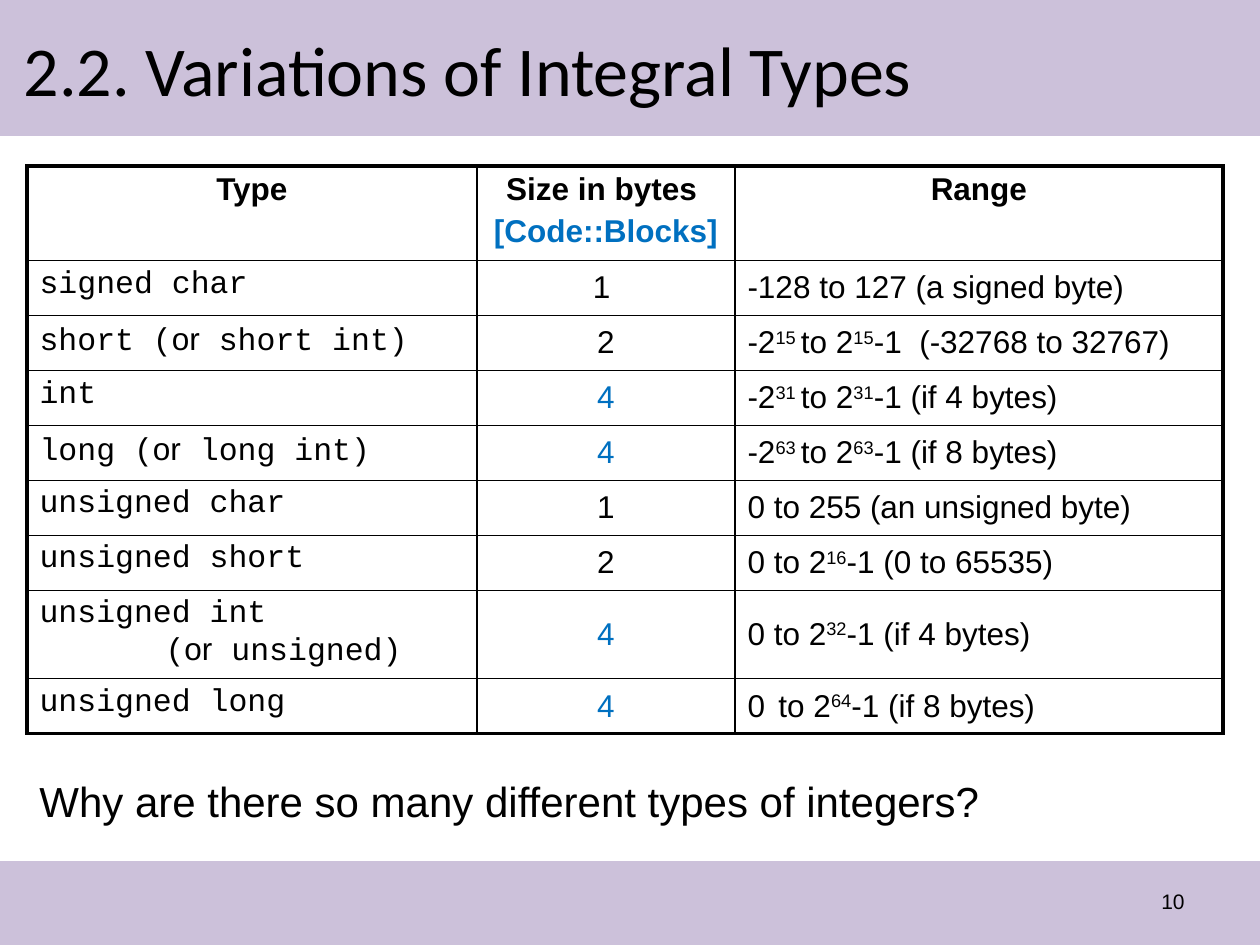
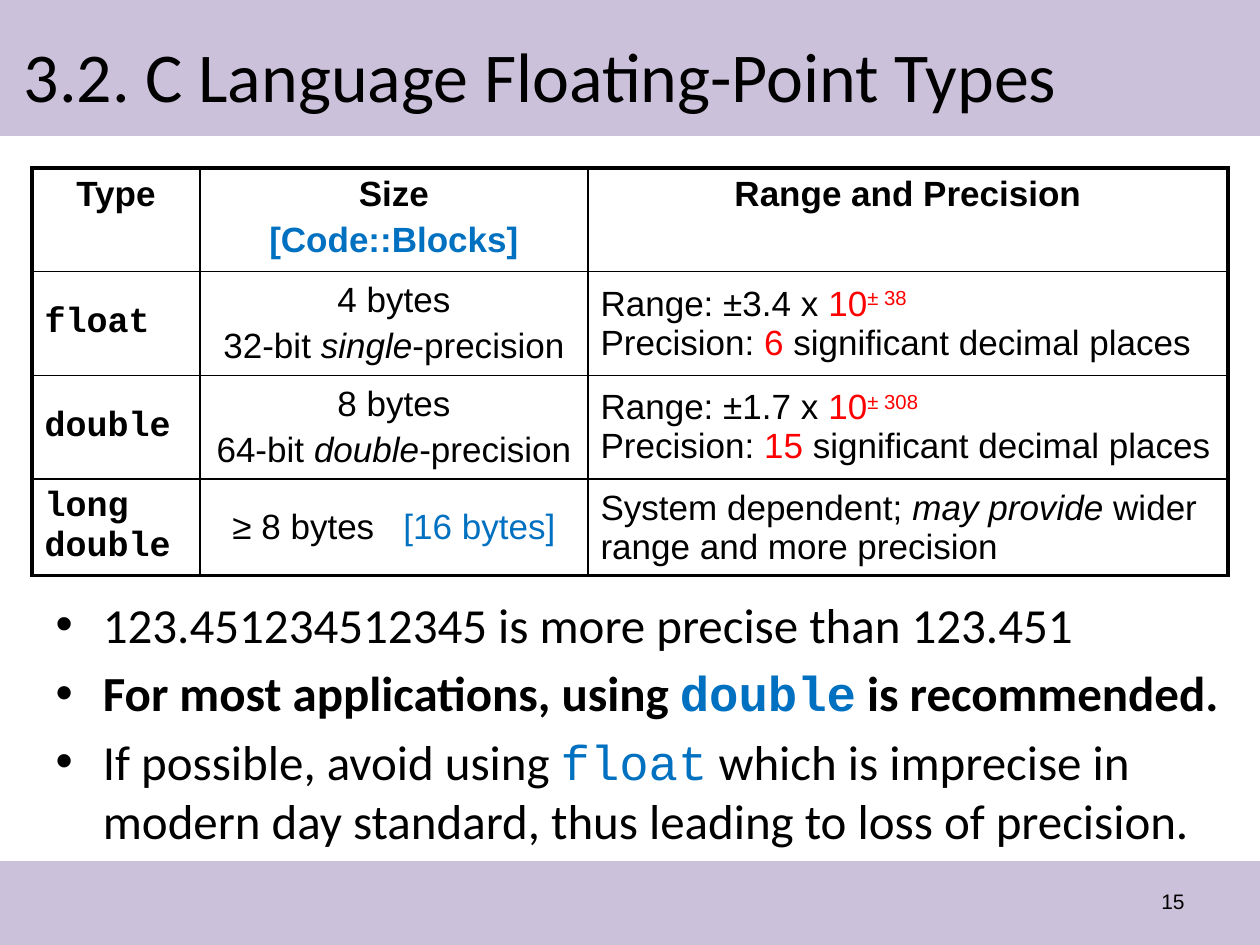
import pptx
import pptx.dml.color
import pptx.enum.shapes
import pptx.enum.text
import pptx.oxml
import pptx.oxml.ns
import pptx.util

ALIGN = pptx.enum.text.PP_ALIGN
ANCHOR = pptx.enum.text.MSO_ANCHOR
SLIDE_WIDTH, SLIDE_HEIGHT = 1260, 945
PX_PER_INCH = 126


class Theme:
    band = "CCC1DA"
    ink = "000000"
    blue = "0070C0"
    red = "FF0000"
    heading_font = "Calibri"
    text_font = "Arial"
    title_size, bullet_size, question_size, number_size = 40, 28, 24, 12
    integer_table_size, float_table_size = 18, 20
    outer_line, inner_line = 2.25, 1
    paragraph_gap = 0.2
    # Font values go to python-pptx; "xml" holds run attributes it lacks.
    styles = {
        "code": {"name": "Courier New"},
        "bold": {"bold": True},
        "italic": {"italic": True},
        "blue": {"color": blue},
        "red": {"color": red},
        "superscript": {"xml": {"baseline": "30000"}},
        "thin gap": {"xml": {"spc": "270"}},
        "gap": {"xml": {"spc": "500"}},
        "wide gap": {"xml": {"spc": "1100"}},
    }


def px(length):
    return pptx.util.Emu(round(length * 914400 / PX_PER_INCH))


def rgb(color):
    return pptx.dml.color.RGBColor.from_string(color)


def place(shape, left, top, width, height):
    box = {"left": left, "top": top, "width": width, "height": height}
    for name, value in box.items():
        setattr(shape, name, px(value))


def write_run(paragraph, text, values):
    run = paragraph.add_run()
    run.text = text
    values = dict(values)
    run.font.color.rgb = rgb(values.pop("color"))
    for name, value in values.pop("xml", {}).items():
        run._r.get_or_add_rPr().set(name, value)
    for name, value in values.items():
        setattr(run.font, name, value)


def write_text(frame, paragraphs, size, font=Theme.text_font, align=ALIGN.LEFT):
    """Write paragraphs, each a string or a list of strings and (text, style, ...) runs."""
    base = {"name": font, "size": pptx.util.Pt(size), "bold": False,
            "italic": False, "color": Theme.ink}
    for index, runs in enumerate(paragraphs):
        paragraph = frame.add_paragraph() if index else frame.paragraphs[0]
        paragraph.alignment = align
        paragraph.space_before = pptx.util.Pt(size * Theme.paragraph_gap if index else 0)
        for run in [runs] if isinstance(runs, str) else runs:
            text, *styles = [run] if isinstance(run, str) else run
            if text == "\n":
                paragraph.add_line_break()
                continue
            values = dict(base)
            for style in styles:
                values.update(Theme.styles[style])
            write_run(paragraph, text, values)


def add_text_box(slide, box, text, size, align=ALIGN.LEFT, anchor=ANCHOR.TOP, wrap=True):
    frame = slide.shapes.add_textbox(*map(px, box)).text_frame
    frame.word_wrap = wrap
    frame.vertical_anchor = anchor
    write_text(frame, [text], size, align=align)


def add_band(slide, top, height):
    """Add a full-width band behind everything else."""
    band = slide.shapes.add_shape(pptx.enum.shapes.MSO_SHAPE.RECTANGLE,
                                  0, px(top), px(SLIDE_WIDTH), px(height))
    band.shadow.inherit = False
    band.fill.solid()
    band.fill.fore_color.rgb = rgb(Theme.band)
    band.line.fill.background()
    slide.shapes._spTree.insert(2, band._element)


def add_framed_slide(presentation, layout_name, title, title_box, number):
    """Add a slide with its bands, title and slide number."""
    layout = presentation.slide_layouts.get_by_name(layout_name)
    slide = presentation.slides.add_slide(layout)
    add_band(slide, 0, 136)
    add_band(slide, 861, SLIDE_HEIGHT - 861)
    heading = slide.shapes.title
    place(heading, *title_box)
    heading.text_frame.auto_size = pptx.enum.text.MSO_AUTO_SIZE.NONE
    heading.text_frame.vertical_anchor = ANCHOR.MIDDLE
    write_text(heading.text_frame, [title], Theme.title_size, Theme.heading_font)
    add_text_box(slide, (903, 876, 294, 50), number, Theme.number_size,
                 ALIGN.RIGHT, ANCHOR.MIDDLE)
    return slide


def set_borders(cell, widths):
    """Set the left, right, top and bottom line widths in points."""
    properties = cell._tc.get_or_add_tcPr()
    for index, (side, width) in enumerate(zip("LRTB", widths)):
        line = pptx.oxml.parse_xml(
            f'<a:ln{side} {pptx.oxml.ns.nsdecls("a")} w="{pptx.util.Pt(width)}">'
            f'<a:solidFill><a:srgbClr val="{Theme.ink}"/></a:solidFill></a:ln{side}>')
        properties.insert(index, line)


def add_grid(slide, left, top, widths, heights, rows, size, type_anchor):
    """Add a ruled table with a bold header; rows grow to fit their paragraphs."""
    shape = slide.shapes.add_table(len(rows), len(widths), px(left), px(top),
                                   px(sum(widths)), px(sum(heights)))
    table = shape.table
    table.first_row = table.horz_banding = False
    for column, width in zip(table.columns, widths):
        column.width = px(width)
    for row, height in zip(table.rows, heights):
        row.height = px(height)

    last_row, last_column = len(rows) - 1, len(widths) - 1
    for row_index, row in enumerate(rows):
        for column_index, paragraphs in enumerate(row):
            cell = table.cell(row_index, column_index)
            cell.fill.background()
            edges = (column_index == 0, column_index == last_column,
                     row_index == 0, row_index == last_row)
            set_borders(cell, [Theme.outer_line if edge else Theme.inner_line
                               for edge in edges])
            if row_index == 0:
                cell.vertical_anchor = ANCHOR.TOP
            else:
                cell.vertical_anchor = type_anchor if column_index == 0 else ANCHOR.MIDDLE
            centred = row_index == 0 or column_index == 1
            write_text(cell.text_frame, paragraphs, size,
                       align=ALIGN.CENTER if centred else ALIGN.LEFT)


def set_tab_stop(paragraph, position):
    stops = pptx.oxml.parse_xml(
        f'<a:tabLst {pptx.oxml.ns.nsdecls("a")}>'
        f'<a:tab pos="{px(position)}" algn="l"/></a:tabLst>')
    paragraph._p.get_or_add_pPr().append(stops)


def header(size_label, range_label):
    return [[[("Type", "bold")]],
            [[(size_label, "bold")], [("[Code::Blocks]", "bold", "blue")]],
            [[(range_label, "bold")]]]


def code_or(before, after):
    return [(before, "code"), "or", (after, "code")]


def signed_range(power, *ending):
    return ["-2", (f"{power} ", "superscript"), "to 2",
            (f"{power}", "superscript"), *ending]


def unsigned_range(power, ending):
    return ["0 to 2", (f"{power}", "superscript"), ending]


def float_row(name, size, bits, precision, exponent, mantissa, digits):
    return [[[(name, "code", "bold")]],
            [size, [f"{bits}-bit ", (precision, "italic"), "-precision"]],
            [[f"Range: ±{mantissa} x ", ("10", "red"),
              (f"± {exponent}", "red", "superscript"), "\n",
              "Precision: ", (digits, "red"), " significant decimal places"]]]


def add_integral_types(presentation):
    slide = add_framed_slide(presentation, "Title Only", "2.2. Variations of Integral Types",
                             (11, 11, 1218, 116), "10")
    four = ("4", "blue")
    types = [
        ([("signed char", "code")], "1 ", "-128 to 127 (a signed byte)"),
        (code_or("short (", " short int)"), "2",
         signed_range(15, "-1", (" ", "gap"), "(-32768 to 32767)")),
        ([("int", "code")], [four], signed_range(31, "-1 (if 4 bytes)")),
        (code_or("long (", " long int)"), [four], signed_range(63, "-1 (if 8 bytes)")),
        ([("unsigned char", "code")], "1", "0 to 255 (an unsigned byte)"),
        ([("unsigned short", "code")], "2", unsigned_range(16, "-1 (0 to 65535)")),
        ([("unsigned int", "code"), "\n", *code_or("\t(", " unsigned)")], [four],
         unsigned_range(32, "-1 (if 4 bytes)")),
        ([("unsigned long", "code")], [four],
         ["0", (" ", "thin gap"), "to 2", ("64", "superscript"), "-1 (if 8 bytes)"]),
    ]
    rows = [header("Size in bytes ", "Range")]
    rows += [[[paragraph] for paragraph in row] for row in types]
    add_grid(slide, 27, 166, (450, 258, 488), (87, *[55] * len(types)),
             rows, Theme.integer_table_size, ANCHOR.TOP)
    table = slide.shapes[-1].table
    set_tab_stop(table.cell(7, 0).text_frame.paragraphs[0], 126)
    add_text_box(slide, (27, 769, 966, 63),
                 "Why are there so many different types of integers?",
                 Theme.question_size, wrap=False)


def add_floating_point_types(presentation):
    slide = add_framed_slide(presentation, "Title and Content",
                             "3.2. C Language Floating-Point Types",
                             (11, 23, 1167, 103), "15")
    rows = [
        header("Size", "Range and Precision"),
        float_row("float", "4 bytes", 32, "single", 38, "3.4", "6"),
        float_row("double", "8 bytes", 64, "double", 308, "1.7", "15"),
        [[[("long double", "code", "bold")]],
         [["≥ 8 bytes", (" ", "wide gap"), ("[16 bytes]", "blue")]],
         [["System dependent; ", ("may provide", "italic"),
           " wider range and more precision"]]],
    ]
    add_grid(slide, 32, 168, (168, 388, 640), (73, 73, 67, 62),
             rows, Theme.float_table_size, ANCHOR.MIDDLE)

    body = slide.placeholders[1]
    place(body, 43, 588, 1191, 287)
    body.text_frame.auto_size = pptx.enum.text.MSO_AUTO_SIZE.NONE
    advice = [
        "123.451234512345 is more precise than 123.451",
        [("For most applications, using ", "bold"), ("double", "code", "bold", "blue"),
         (" is recommended.", "bold")],
        ["If possible, avoid using ", ("float", "code", "blue"),
         " which is imprecise in modern day standard, thus leading to loss of precision."],
    ]
    write_text(body.text_frame, advice, Theme.bullet_size, Theme.heading_font)


def main():
    presentation = pptx.Presentation()
    presentation.slide_width = px(SLIDE_WIDTH)
    presentation.slide_height = px(SLIDE_HEIGHT)
    add_integral_types(presentation)
    add_floating_point_types(presentation)
    presentation.save("out.pptx")


if __name__ == "__main__":
    main()
